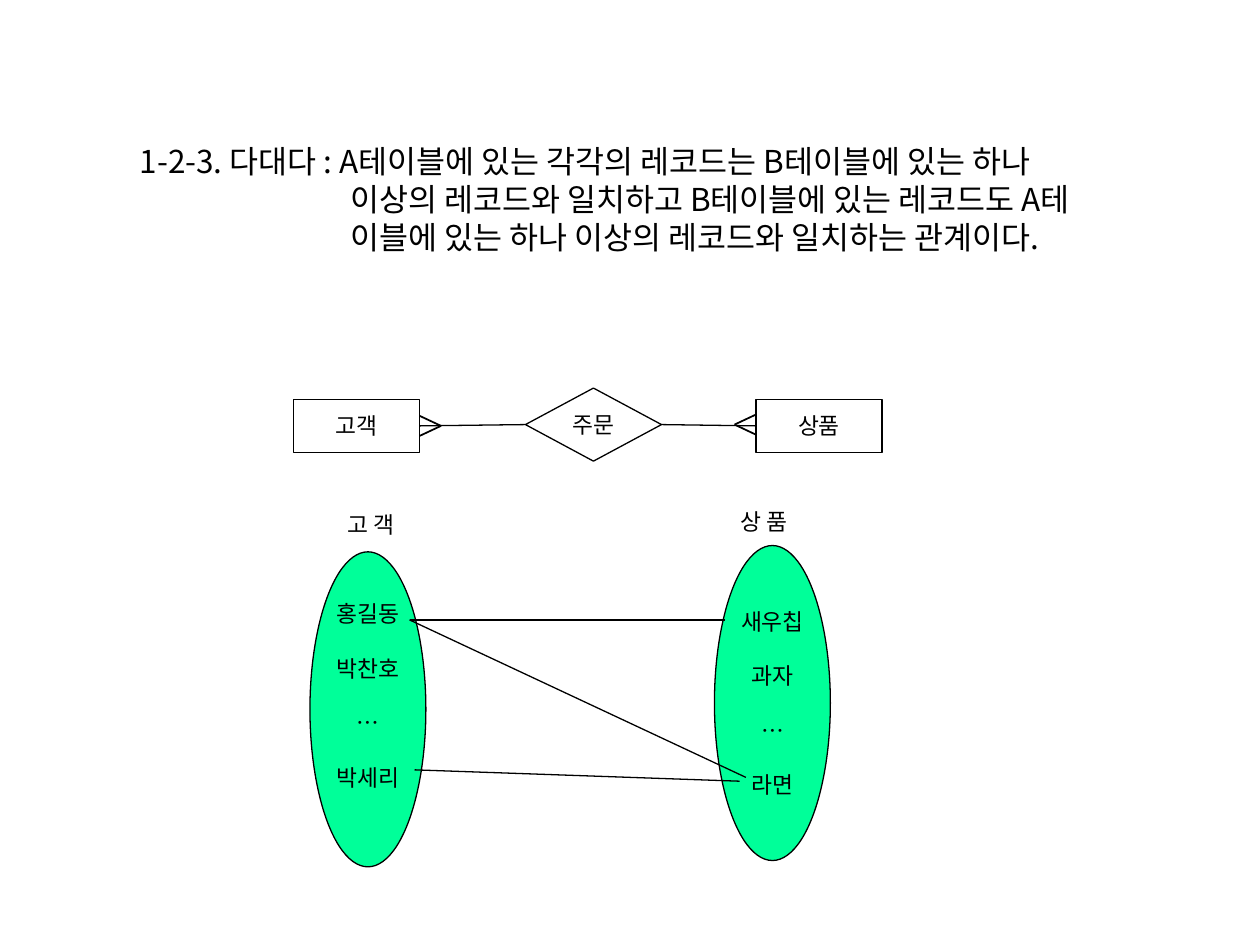
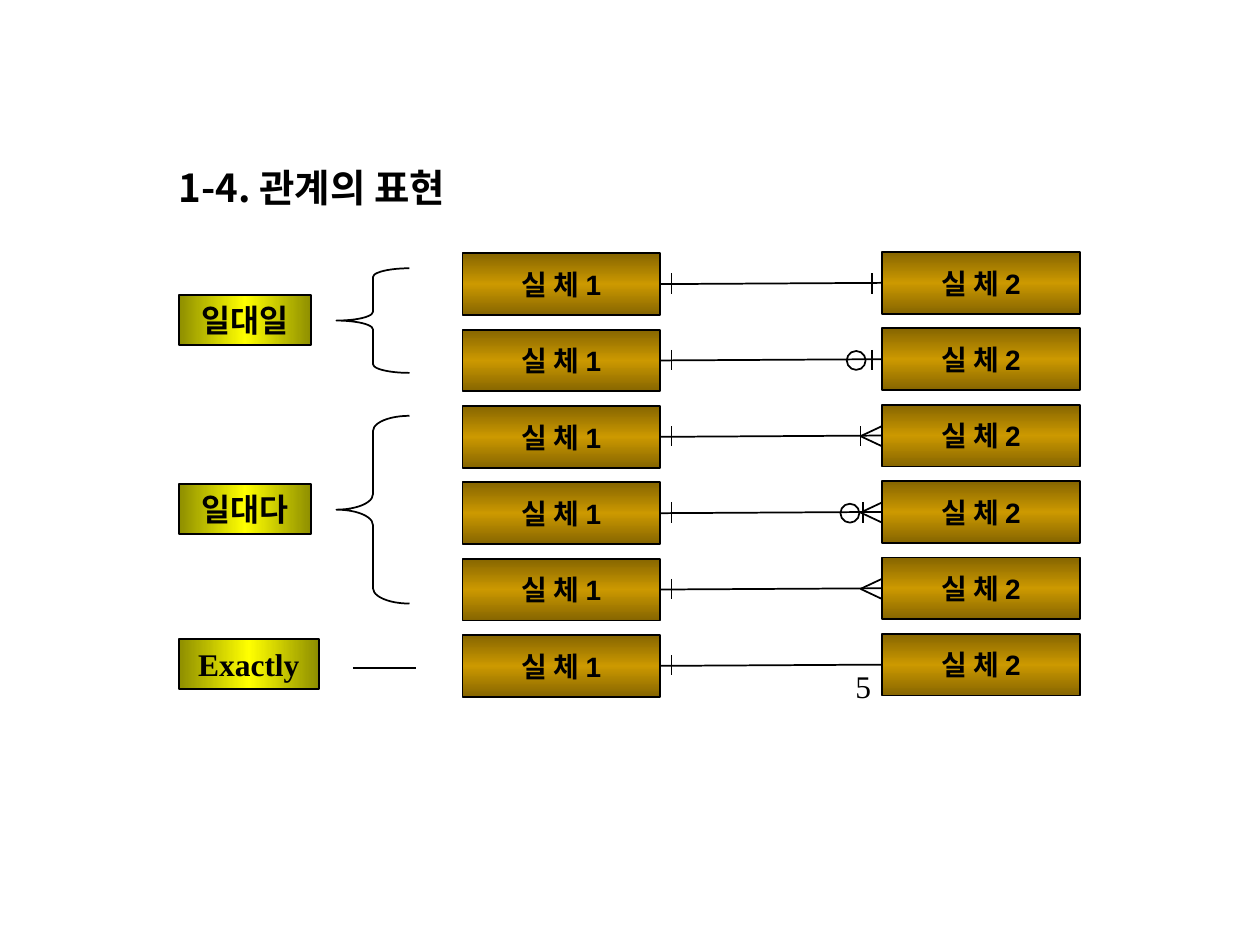
"""Build two slides on table relationships and their notation."""
import copy

import pptx
import pptx.dml.color
import pptx.enum.shapes
import pptx.enum.text
import pptx.oxml
import pptx.oxml.ns
import pptx.util

Inches = pptx.util.Inches
Pt = pptx.util.Pt
Kind = pptx.enum.shapes.MSO_SHAPE
Align = pptx.enum.text.PP_ALIGN
Anchor = pptx.enum.text.MSO_ANCHOR
qn = pptx.oxml.ns.qn

HANGUL = "Noto Sans CJK KR"
SERIF = "Times New Roman"
BLACK, WHITE, GREEN = "000000", "FFFFFF", "00FF99"
GOLD = ("866500", "CC9900", "866500")
YELLOW = ("8E8E00", "FFFF00", "8E8E00")


def tint(code):
    return pptx.dml.color.RGBColor.from_string(code)


class Pen:
    def __init__(self, deck):
        self.deck = deck
        self.slide = None

    def page(self):
        self.slide = self.deck.slides.add_slide(self.deck.slide_layouts[6])

    def run(self, para, text, size, font, bold=False):
        run = para.add_run()
        run.text = text
        run.font.size = Pt(size)
        run.font.bold = bold
        run.font.color.rgb = tint(BLACK)
        run.font.name = font
        props = run.font._element
        props.append(props.makeelement(qn("a:ea"), {"typeface": HANGUL}))

    def lines(self, frame, texts, size, font=HANGUL, bold=False, align=Align.CENTER):
        frame.word_wrap = False
        frame.vertical_anchor = Anchor.MIDDLE
        for i, text in enumerate(texts):
            para = frame.paragraphs[0] if i == 0 else frame.add_paragraph()
            para.alignment = align
            if len(texts) > 1:
                para.line_spacing = Pt(size * 1.2)
            if i:
                para.space_before = Pt(size * 1.2)
            self.run(para, text, size, font, bold)

    def text(self, x, y, w, h, text, size, font=HANGUL, bold=False):
        box = self.slide.shapes.add_textbox(Inches(x), Inches(y), Inches(w), Inches(h))
        self.lines(box.text_frame, [text], size, font, bold, Align.LEFT)

    def note(self, x, y, w, h, rows, size, left, hang):
        box = self.slide.shapes.add_textbox(Inches(x), Inches(y), Inches(w), Inches(h))
        box.text_frame.word_wrap = True
        para = box.text_frame.paragraphs[0]
        para.line_spacing = Pt(size * 1.2)
        props = para._p.get_or_add_pPr()
        props.set("marL", str(int(Inches(left))))
        props.set("indent", str(-int(Inches(hang))))
        for i, row in enumerate(rows):
            if i:
                para.add_line_break()
            self.run(para, row, size, HANGUL)

    def shape(self, kind, x, y, w, h, fill=None, edge=BLACK, width=1):
        shape = self.slide.shapes.add_shape(kind, Inches(x), Inches(y), Inches(w), Inches(h))
        shape.shadow.inherit = False
        shape.line.color.rgb = tint(edge)
        shape.line.width = Pt(width)
        if fill is None:
            shape.fill.background()
        elif isinstance(fill, str):
            shape.fill.solid()
            shape.fill.fore_color.rgb = tint(fill)
        else:
            self.blend(shape, fill)
        return shape

    def blend(self, shape, codes):
        shape.fill.gradient()
        stops = shape._element.spPr.find(".//" + qn("a:gsLst"))
        stops.append(copy.deepcopy(stops[0]))
        for i, (stop, code) in enumerate(zip(shape.fill.gradient_stops, codes)):
            stop.position = i / 2
            stop.color.rgb = tint(code)
        shape.fill.gradient_angle = 90 if codes == GOLD else 0

    def label(self, kind, x, y, w, h, texts, fill=WHITE, edge=BLACK):
        shape = self.shape(kind, x, y, w, h, fill, edge, 0.75)
        self.lines(shape.text_frame, texts, 13)
        return shape

    def block(self, x, y, w, h, text, fill, size, font):
        shape = self.shape(Kind.RECTANGLE, x, y, w, h, fill)
        self.lines(shape.text_frame, [text], size, font, True)
        return shape

    def line(self, x1, y1, x2, y2, width=1):
        line = self.slide.shapes.add_connector(
            pptx.enum.shapes.MSO_CONNECTOR.STRAIGHT,
            Inches(x1), Inches(y1), Inches(x2), Inches(y2))
        line.line.color.rgb = tint(BLACK)
        line.line.width = Pt(width)
        props = line._element.spPr
        props.append(props.makeelement(qn("a:effectLst"), {}))
        return line

    def join(self, first, last, width=1):
        line = self.line(0, 0, 1, 1, width)
        line.begin_connect(first, 3)
        line.end_connect(last, 1)

    def crow(self, tip, base, y):
        for gap in (-0.08, 0.08):
            self.line(tip, y, base, y + gap)

    def tick(self, x, y):
        self.line(x, y - 0.08, x, y + 0.08)

    def ring(self, x, y):
        self.shape(Kind.OVAL, x, y - 0.07, 0.15, 0.15)


def many(pen):
    pen.page()
    pen.note(0.79, 1.08, 8.71, 1.9, [
        "1-2-3. 다대다 : A테이블에 있는 각각의 레코드는 B테이블에 있는 하나",
        "이상의 레코드와 일치하고 B테이블에 있는 레코드도 A테",
        "이블에 있는 하나 이상의 레코드와 일치하는 관계이다.",
    ], 18, 1.89, 1.67)
    buyer = pen.label(Kind.RECTANGLE, 2.33, 3.17, 1, 0.42, ["고객"])
    goods = pen.label(Kind.RECTANGLE, 6, 3.17, 1, 0.42, ["상품"])
    order = pen.label(Kind.DIAMOND, 4.17, 3.08, 1.08, 0.58, ["주문"])
    pen.join(buyer, order, 0.75)
    pen.join(order, goods, 0.75)
    pen.crow(5.83, 6, 3.37)
    pen.crow(3.5, 3.33, 3.38)
    pen.label(Kind.OVAL, 5.67, 4.33, 0.92, 2.5, ["새우칩", "과자", "…", "라면"], GREEN)
    names = pen.label(Kind.OVAL, 2.46, 4.38, 0.92, 2.5,
                      ["홍길동", "박찬호", "…", "박세리"], GREEN)
    names.text_frame.margin_bottom = Inches(0.27)
    pen.label(Kind.RECTANGLE, 5.69, 3.97, 0.75, 0.33, ["상 품"], edge=WHITE)
    pen.label(Kind.RECTANGLE, 2.57, 4, 0.75, 0.33, ["고 객"], edge=WHITE)
    for ends in ((3.25, 4.92, 5.75, 4.92), (3.25, 4.92, 5.92, 6.17), (3.29, 6.11, 5.87, 6.2)):
        pen.line(*ends, 0.75)


def signs(pen):
    pen.page()
    pen.text(1.32, 1.25, 2.42, 0.47, "1-4. 관계의 표현", 22, bold=True)
    top, last = 2.01, 5.04
    marks = [
        {"tick": 6.92},
        {"tick": 6.92, "ring": 6.72},
        {"tick": 6.83, "crow": True},
        {"tick": 6.85, "ring": 6.67, "crow": True},
        {"crow": True},
        {},
    ]
    for i, mark in enumerate(marks):
        y = top + i * (last - top) / (len(marks) - 1)
        mid = y + 0.24
        one = pen.block(3.67, y, 1.57, 0.49, "실 체 1", GOLD, 16, "Arial")
        two = pen.block(7, y - 0.01, 1.57, 0.49, "실 체 2", GOLD, 16, "Arial")
        pen.join(one, two)
        pen.tick(5.33, mid)
        if "tick" in mark:
            pen.tick(mark["tick"], mid)
        if "ring" in mark:
            pen.ring(mark["ring"], mid)
        if "crow" in mark:
            pen.crow(6.83, 7, mid)
    pen.text(6.69, 5.24, 0.32, 0.4, "5", 18, SERIF)
    for y, w, text in ((2.34, 1.05, "일대일"), (3.84, 1.05, "일대다"), (5.07, 1.11, "Exactly")):
        pen.block(1.42, y, w, 0.4, text, YELLOW, 18, SERIF)
    for y, h, curve in ((2.13, 0.83, 0.12), (3.3, 1.49, 0.21)):
        brace = pen.shape(Kind.LEFT_BRACE, 2.67, y, 0.58, h)
        brace.adjustments[0] = curve
    pen.line(2.8, 5.3, 3.3, 5.3)


def main():
    deck = pptx.Presentation()
    deck.slide_width, deck.slide_height = Inches(10), Inches(7.5)
    pen = Pen(deck)
    many(pen)
    signs(pen)
    deck.save("out.pptx")


if __name__ == "__main__":
    main()
